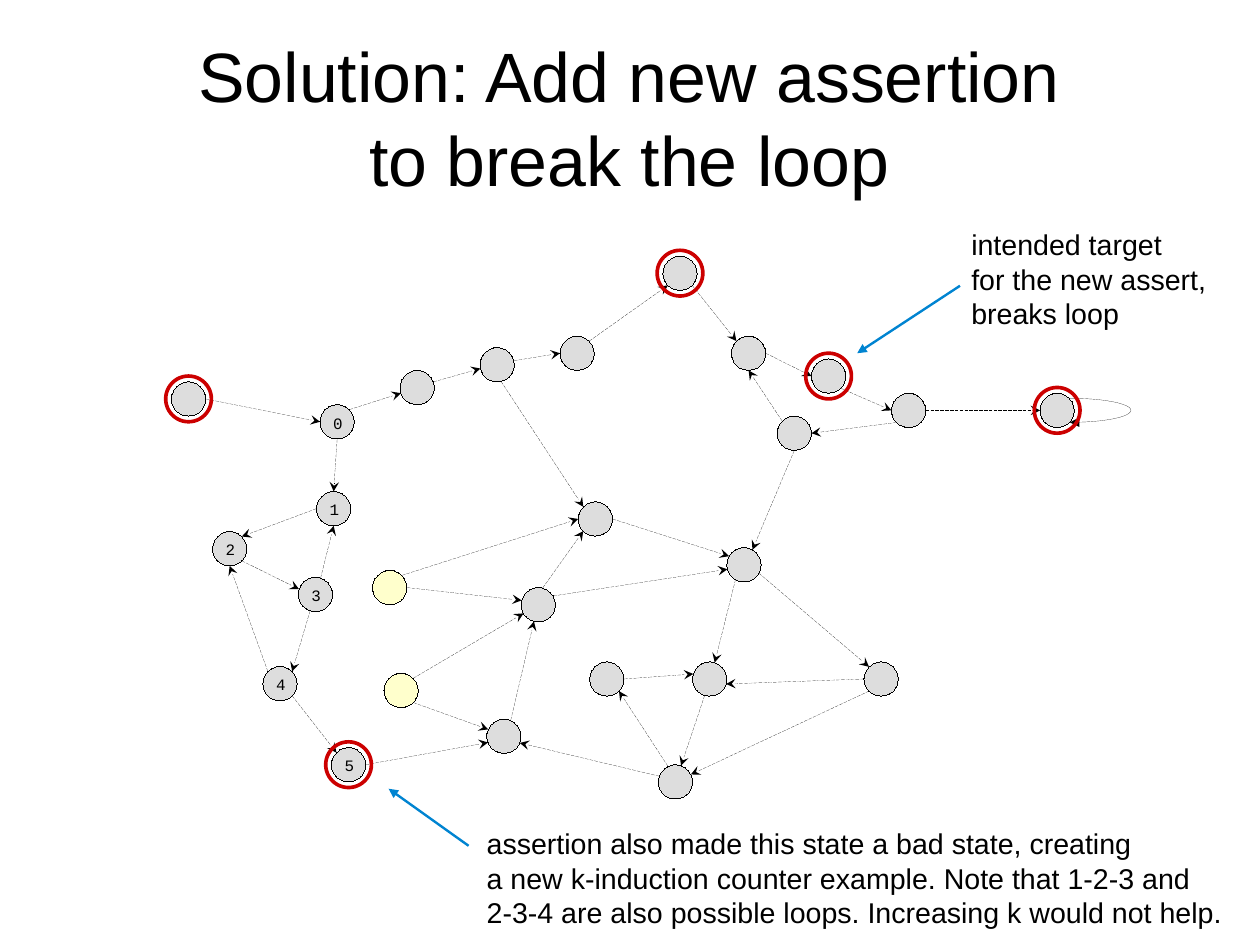
"""Build the state diagram slide on breaking a loop with a new assertion."""
import math

import pptx
import pptx.dml.color
import pptx.enum.dml
import pptx.enum.shapes
import pptx.enum.text
import pptx.oxml
import pptx.oxml.ns
import pptx.util

Pt = pptx.util.Pt
RGBColor = pptx.dml.color.RGBColor
SHAPE = pptx.enum.shapes.MSO_SHAPE
ALIGN = pptx.enum.text.PP_ALIGN
ANCHOR = pptx.enum.text.MSO_ANCHOR

BLACK = RGBColor(0x00, 0x00, 0x00)
GRAY = RGBColor(0xDD, 0xDD, 0xDD)
YELLOW = RGBColor(0xFF, 0xFF, 0xCC)
RED = RGBColor(0xCC, 0x00, 0x00)
BLUE = RGBColor(0x00, 0x84, 0xD1)

TITLE = ["Solution: Add new assertion", "to break the loop"]
STATE_SIZE, RING_SIZE, HAIRLINE = 21.6, 28.8, 0.01
TOP, TOP_LEFT, LEFT, BOTTOM_LEFT, BOTTOM, BOTTOM_RIGHT, RIGHT, TOP_RIGHT = range(8)

# name: (center x, center y, rotation)
STATES = {
    "start": (118.8, 251.3, 0),
    "0": (212.4, 265.7, 0),
    "1": (210.2, 320.4, 0),
    "2": (144.7, 345.6, 0),
    "3": (198.7, 374.4, 17.7),
    "4": (176.4, 430.6, 0),
    "5": (219.6, 481.7, 0),
    "climb a": (262.8, 244.1, 25.8),
    "climb b": (313.2, 229.7, 346.9),
    "climb c": (363.6, 222.5, 0),
    "peak": (428.4, 172.1, 0),
    "loop a": (471.6, 222.5, 0),
    "target": (522, 236.9, 0),
    "loop b": (572.4, 258.5, 0),
    "loop c": (500.4, 272.9, 0),
    "end": (666, 258.5, 0),
    "initial a": (245.5, 370.1, 0),
    "initial b": (252.7, 434.9, 0),
    "upper": (375.1, 326.9, 0),
    "middle": (339.1, 380.9, 14.5),
    "lower": (317.5, 463.7, 23.2),
    "hub": (468.7, 355.7, 344.6),
    "cycle a": (447.1, 427.7, 16.9),
    "cycle b": (382.3, 427.7, 0),
    "cycle c": (425.5, 492.5, 19.3),
    "cycle d": (555.1, 427.7, 0),
}
INITIAL_STATES = ["initial a", "initial b"]
BAD_STATES = ["target", "peak", "start", "5", "end"]
NUMBERED_STATES = ["0", "1", "2", "3", "4", "5"]

TRANSITIONS = [
    ("start", RIGHT, "0", LEFT),
    ("0", TOP_RIGHT, "climb a", BOTTOM_LEFT),
    ("climb a", TOP_RIGHT, "climb b", LEFT),
    ("climb b", RIGHT, "climb c", LEFT),
    ("climb c", TOP_RIGHT, "peak", BOTTOM_LEFT),
    ("peak", BOTTOM_RIGHT, "loop a", TOP_LEFT),
    ("loop a", RIGHT, "target", LEFT),
    ("target", BOTTOM_RIGHT, "loop b", LEFT),
    ("loop b", RIGHT, "end", LEFT),
    ("loop b", BOTTOM_LEFT, "loop c", RIGHT),
    ("loop c", TOP_LEFT, "loop a", BOTTOM),
    ("loop c", BOTTOM, "hub", TOP_RIGHT),
    ("climb b", BOTTOM, "upper", TOP_LEFT),
    ("0", BOTTOM, "1", TOP),
    ("1", LEFT, "2", TOP_RIGHT),
    ("2", BOTTOM_RIGHT, "3", LEFT),
    ("3", TOP, "1", BOTTOM),
    ("3", BOTTOM, "4", TOP_RIGHT),
    ("4", TOP_LEFT, "2", BOTTOM),
    ("4", BOTTOM_RIGHT, "5", TOP_LEFT),
    ("5", RIGHT, "lower", BOTTOM_LEFT),
    ("initial a", TOP_RIGHT, "upper", LEFT),
    ("initial a", RIGHT, "middle", LEFT),
    ("initial b", TOP_RIGHT, "middle", BOTTOM_LEFT),
    ("initial b", BOTTOM_RIGHT, "lower", LEFT),
    ("lower", TOP, "middle", BOTTOM),
    ("middle", TOP, "upper", BOTTOM_LEFT),
    ("middle", TOP_RIGHT, "hub", LEFT),
    ("upper", RIGHT, "hub", TOP_LEFT),
    ("hub", BOTTOM_RIGHT, "cycle d", TOP_LEFT),
    ("hub", BOTTOM_LEFT, "cycle a", TOP),
    ("cycle d", LEFT, "cycle a", RIGHT),
    ("cycle d", BOTTOM_LEFT, "cycle c", TOP_RIGHT),
    ("cycle c", TOP_LEFT, "cycle b", BOTTOM_RIGHT),
    ("cycle c", LEFT, "lower", RIGHT),
    ("cycle b", RIGHT, "cycle a", LEFT),
    ("cycle a", BOTTOM, "cycle c", TOP),
]
NOTES = [
    ((604.8, 139.7, 172.8, 72),
     ["intended target", "for the new assert, breaks loop"]),
    ((299.5, 517, 485.3, 87.8),
     ["assertion also made this state a bad state, creating",
      "a new k-induction counter example. Note that 1-2-3 and",
      "2-3-4 are also possible loops. Increasing k would not help."]),
]
POINTERS = [((604.8, 180), (540, 222.5)), ((295.2, 532.8), (244.8, 496.8))]


def rim_point(name, site):
    x, y, rotation = STATES[name]
    angle = math.radians(rotation - 90 - 45 * site)
    radius = STATE_SIZE / 2
    return x + radius * math.cos(angle), y + radius * math.sin(angle)


def style_arrow(shape, color, width, head):
    shape.line.color.rgb = color
    shape.line.width = Pt(width)
    tail = pptx.oxml.parse_xml(
        f'<a:tailEnd {pptx.oxml.ns.nsdecls("a")} type="{head}"/>')
    shape.line._get_or_add_ln().append(tail)


def add_arrow(slide, start, end, color, width, head, dashed=False):
    connector = slide.shapes.add_connector(
        pptx.enum.shapes.MSO_CONNECTOR.STRAIGHT, *map(Pt, start + end))
    if dashed:
        connector.line.dash_style = pptx.enum.dml.MSO_LINE.SQUARE_DOT
    style_arrow(connector, color, width, head)
    connector._element.spPr.append(pptx.oxml.parse_xml(
        f'<a:effectLst {pptx.oxml.ns.nsdecls("a")}/>'))


def add_circle(slide, name, size, line_color, width, fill=None):
    x, y, rotation = STATES[name]
    circle = slide.shapes.add_shape(
        SHAPE.OVAL, Pt(x - size / 2), Pt(y - size / 2), Pt(size), Pt(size))
    circle.rotation = rotation
    circle.shadow.inherit = False
    circle.line.color.rgb = line_color
    circle.line.width = Pt(width)
    if fill is None:
        circle.fill.background()
    else:
        circle.fill.solid()
        circle.fill.fore_color.rgb = fill


def add_run(paragraph, text, size, font_name):
    run = paragraph.add_run()
    run.text = text
    run.font.size = Pt(size)
    run.font.name = font_name
    run.font.color.rgb = BLACK


def add_text(slide, box, lines, size, font_name, alignment):
    frame = slide.shapes.add_textbox(*map(Pt, box)).text_frame
    frame.word_wrap = True
    for index, line in enumerate(lines):
        paragraph = frame.add_paragraph() if index else frame.paragraphs[0]
        paragraph.alignment = alignment
        add_run(paragraph, line, size, font_name)


def add_self_loop(slide):
    x, y, _ = STATES["end"]
    steps = 24
    angles = [math.pi * step / steps for step in range(steps + 1)]
    points = [(Pt(x + 8 + 38.5 * math.sin(angle)), Pt(y - 7.6 * math.cos(angle)))
              for angle in angles]
    builder = slide.shapes.build_freeform(*points[0])
    builder.add_line_segments(points[1:], close=False)
    loop = builder.convert_to_shape()
    loop.shadow.inherit = False
    loop.fill.background()
    style_arrow(loop, BLACK, HAIRLINE, "triangle")


def set_title(slide):
    title = slide.shapes.title
    title.left, title.top, title.width, title.height = map(Pt, (39.6, 23.8, 714.2, 99.4))
    frame = title.text_frame
    frame.margin_left = frame.margin_right = frame.margin_top = frame.margin_bottom = 0
    frame.vertical_anchor = ANCHOR.MIDDLE
    paragraph = frame.paragraphs[0]
    paragraph.alignment = ALIGN.CENTER
    add_run(paragraph, TITLE[0], 44, "Arial")
    paragraph.add_line_break()
    add_run(paragraph, TITLE[1], 44, "Arial")


def main():
    presentation = pptx.Presentation()
    presentation.slide_width, presentation.slide_height = Pt(793.75), Pt(595.25)
    slide = presentation.slides.add_slide(presentation.slide_layouts[5])
    set_title(slide)
    add_self_loop(slide)
    for name in STATES:
        fill = YELLOW if name in INITIAL_STATES else GRAY
        add_circle(slide, name, STATE_SIZE, BLACK, HAIRLINE, fill)
    for source, source_site, target, target_site in TRANSITIONS:
        add_arrow(slide, rim_point(source, source_site), rim_point(target, target_site),
                  BLACK, HAIRLINE, "stealth", dashed=True)
    for name in BAD_STATES:
        add_circle(slide, name, RING_SIZE, RED, 2.3)
    for name in NUMBERED_STATES:
        x, y, _ = STATES[name]
        add_text(slide, (x - 25, y - 9, 51, 18.7), [name], 10, "Courier New", ALIGN.CENTER)
    for box, lines in NOTES:
        add_text(slide, box, lines, 18, "Arial", ALIGN.LEFT)
    for start, end in POINTERS:
        add_arrow(slide, start, end, BLUE, 1.5, "triangle")
    presentation.save("out.pptx")


if __name__ == "__main__":
    main()
